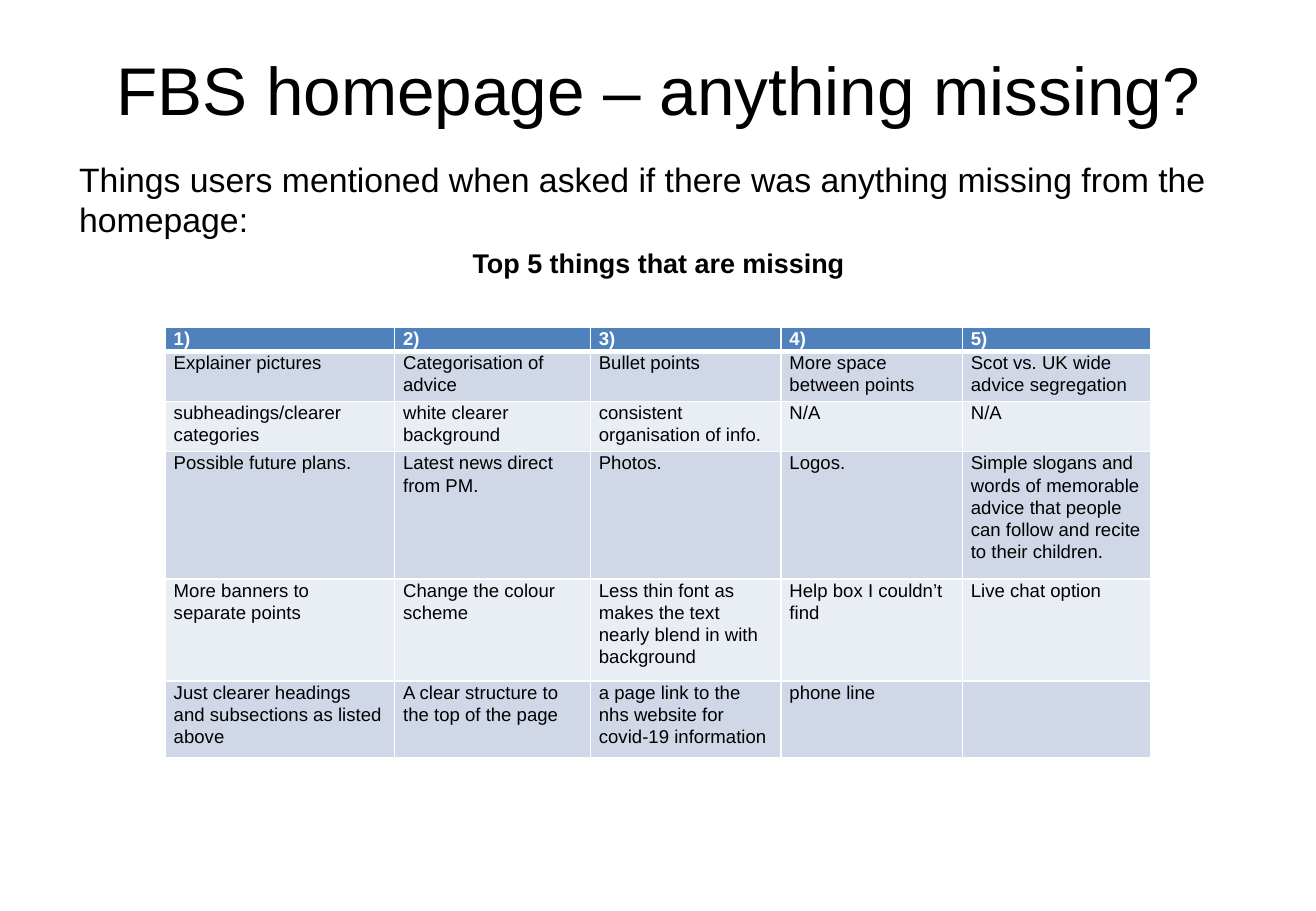
from lxml import etree
from pptx import Presentation
from pptx.dml.color import RGBColor
from pptx.enum import text as t
from pptx.oxml import ns
from pptx.util import Pt

COLORS = {"text": "000000", "white": "FFFFFF", "header": "4F81BD",
          "odd": "D0D8E8", "even": "E9EDF4"}


def write(paragraph, content, size=11, bold=False, color="text",
          align=t.PP_ALIGN.LEFT, before=0, spacing=1.0):
    paragraph.alignment = align
    paragraph.space_before = Pt(before)
    paragraph.line_spacing = spacing
    run = paragraph.add_run()
    run.text = content
    run.font.name = "Arial"
    run.font.size = Pt(size)
    run.font.bold = bold
    run.font.color.rgb = RGBColor.from_string(COLORS[color])


def add_border(cell, side, width):
    line = etree.SubElement(cell._tc.get_or_add_tcPr(), ns.qn(f"a:ln{side}"),
                            w=str(Pt(width)))
    fill = etree.SubElement(line, ns.qn("a:solidFill"))
    etree.SubElement(fill, ns.qn("a:srgbClr"), val=COLORS["white"])


prs = Presentation()
prs.slide_width, prs.slide_height = Pt(780), Pt(540)
slide = prs.slides.add_slide(prs.slide_layouts[1])
title, intro = slide.placeholders

# Title and introduction frames
for holder, top, height, inset in ((title, 21.6, 90, 7), (intro, 88.6, 430, 5.4)):
    holder.left, holder.top = Pt(39), Pt(top)
    holder.width, holder.height = Pt(702), Pt(height)
    frame = holder.text_frame
    frame.auto_size = t.MSO_AUTO_SIZE.NONE
    frame.vertical_anchor = t.MSO_ANCHOR.TOP
    frame.margin_top = Pt(inset)

# Title
write(title.text_frame.paragraphs[0], "FBS homepage – anything missing?",
      size=40, align=t.PP_ALIGN.CENTER)

# Introduction and table heading, without bullets
lead = intro.text_frame.paragraphs[0]
heading = intro.text_frame.add_paragraph()
for paragraph in (lead, heading):
    props = paragraph._p.get_or_add_pPr()
    props.set("marL", str(Pt(0.7)))
    props.set("indent", "0")
    etree.SubElement(props, ns.qn("a:buNone"))
write(lead, "Things users mentioned when asked if there was anything missing "
      "from the homepage:", size=20)
write(heading, "Top 5 things that are missing", size=16, bold=True,
      align=t.PP_ALIGN.CENTER, before=4)

# Answers, one row per user
answers = [
    ["1)", "2)", "3)", "4)", "5)"],
    ["Explainer pictures", "Categorisation of advice", "Bullet points",
     "More space between points", "Scot vs. UK wide advice segregation"],
    ["subheadings/clearer categories", "white clearer background",
     "consistent organisation of info.", "N/A", "N/A"],
    ["Possible future plans.", "Latest news direct from PM.", "Photos.", "Logos.",
     "Simple slogans and words of memorable advice that people can follow "
     "and recite to their children."],
    ["More banners to separate points", "Change the colour scheme",
     "Less thin font as makes the text nearly blend in with background",
     "Help box I couldn’t find", "Live chat option"],
    ["Just clearer headings and subsections as listed above",
     "A clear structure to the top of the page",
     "a page link to the nhs website for covid-19 information", "phone line", ""],
]
column_widths = [136, 116, 113, 107.5, 111.5]
row_heights = [14.4, 29.7, 29.7, 75.5, 60.5, 45.2]
grid = slide.shapes.add_table(len(answers), len(column_widths), Pt(98), Pt(194),
                              Pt(sum(column_widths)), Pt(sum(row_heights))).table
for column, width in zip(grid.columns, column_widths):
    column.width = Pt(width)

for r, (row, height) in enumerate(zip(answers, row_heights)):
    grid.rows[r].height = Pt(height)
    band = "header" if r == 0 else "odd" if r % 2 else "even"
    # A thick rule separates the header from the answers
    borders = {"L": 1, "R": 1, "T": 3 if r == 1 else 1, "B": 3 if r == 0 else 1}
    for c, answer in enumerate(row):
        cell = grid.cell(r, c)
        cell.margin_left = cell.margin_right = Pt(5)
        cell.margin_top = cell.margin_bottom = 0
        for side, width in borders.items():
            add_border(cell, side, width)
        cell.fill.solid()
        cell.fill.fore_color.rgb = RGBColor.from_string(COLORS[band])
        if answer:
            write(cell.text_frame.paragraphs[0], answer, bold=r == 0,
                  color="white" if r == 0 else "text", spacing=1.07)

prs.save("out.pptx")
